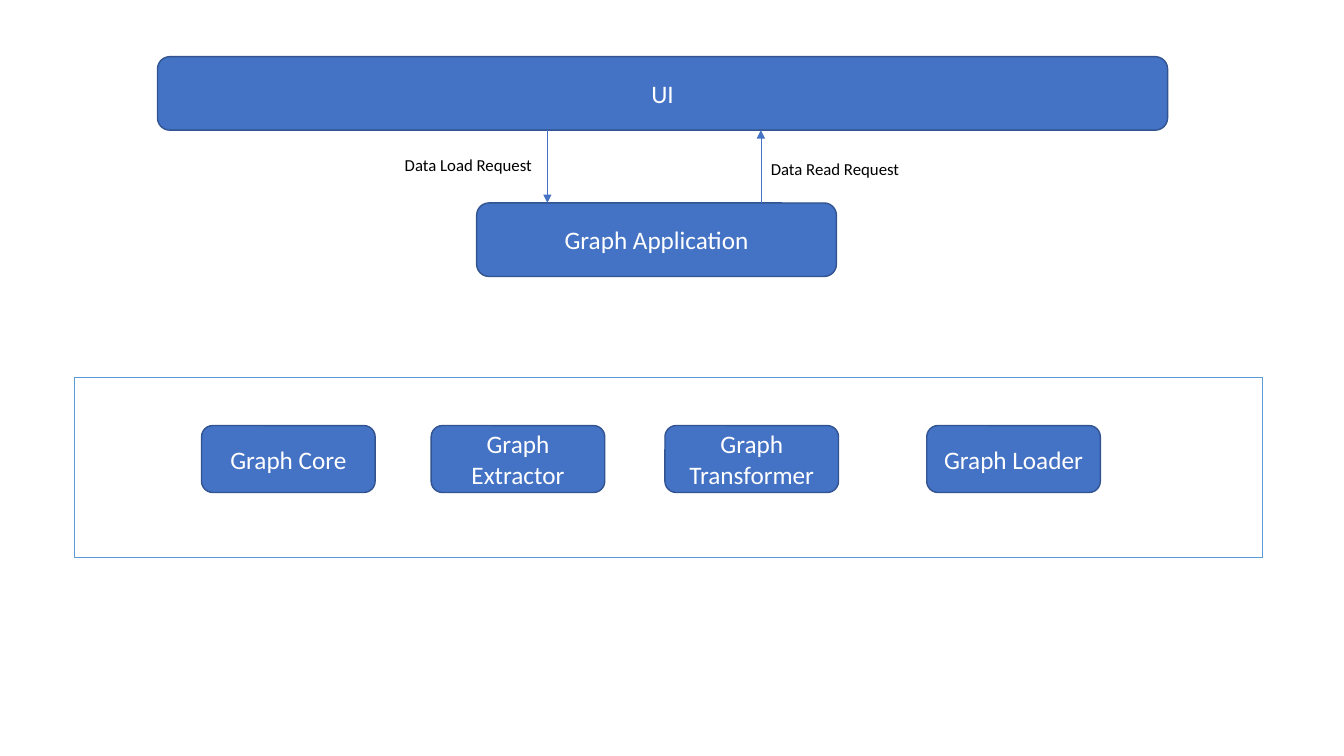
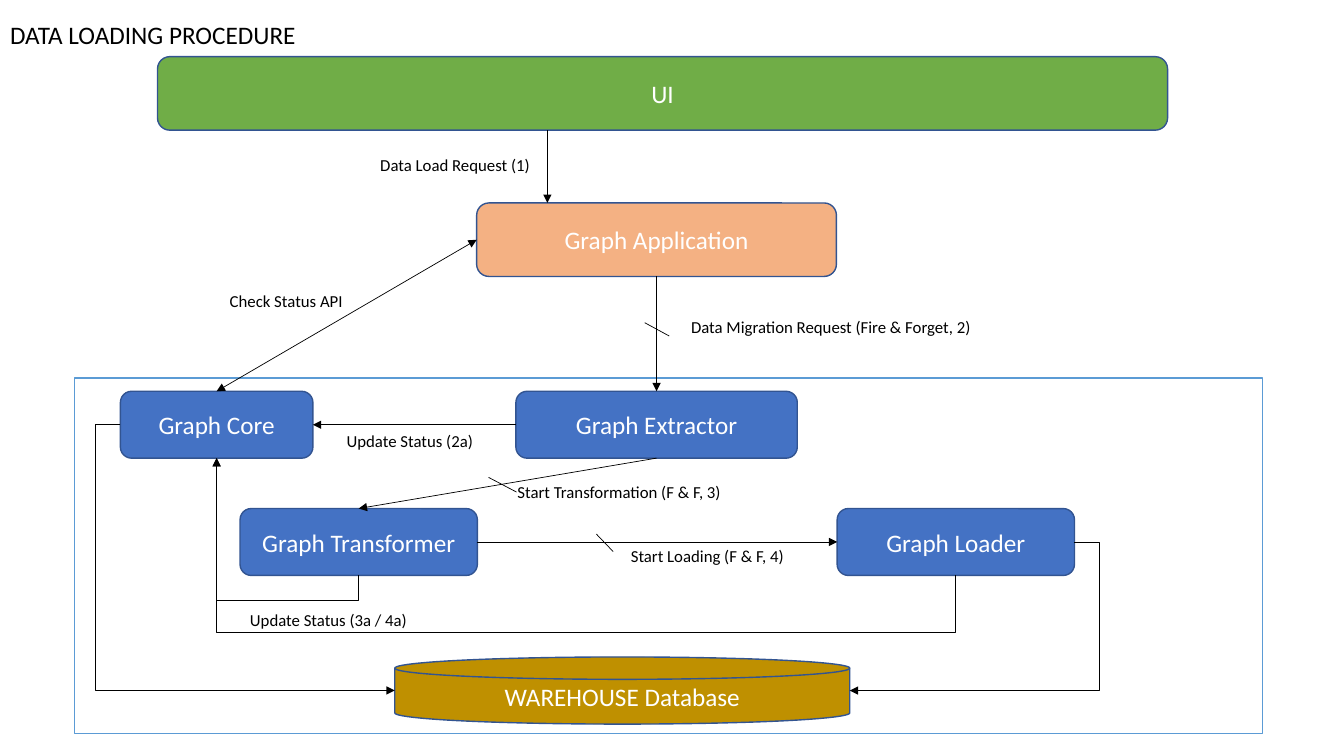
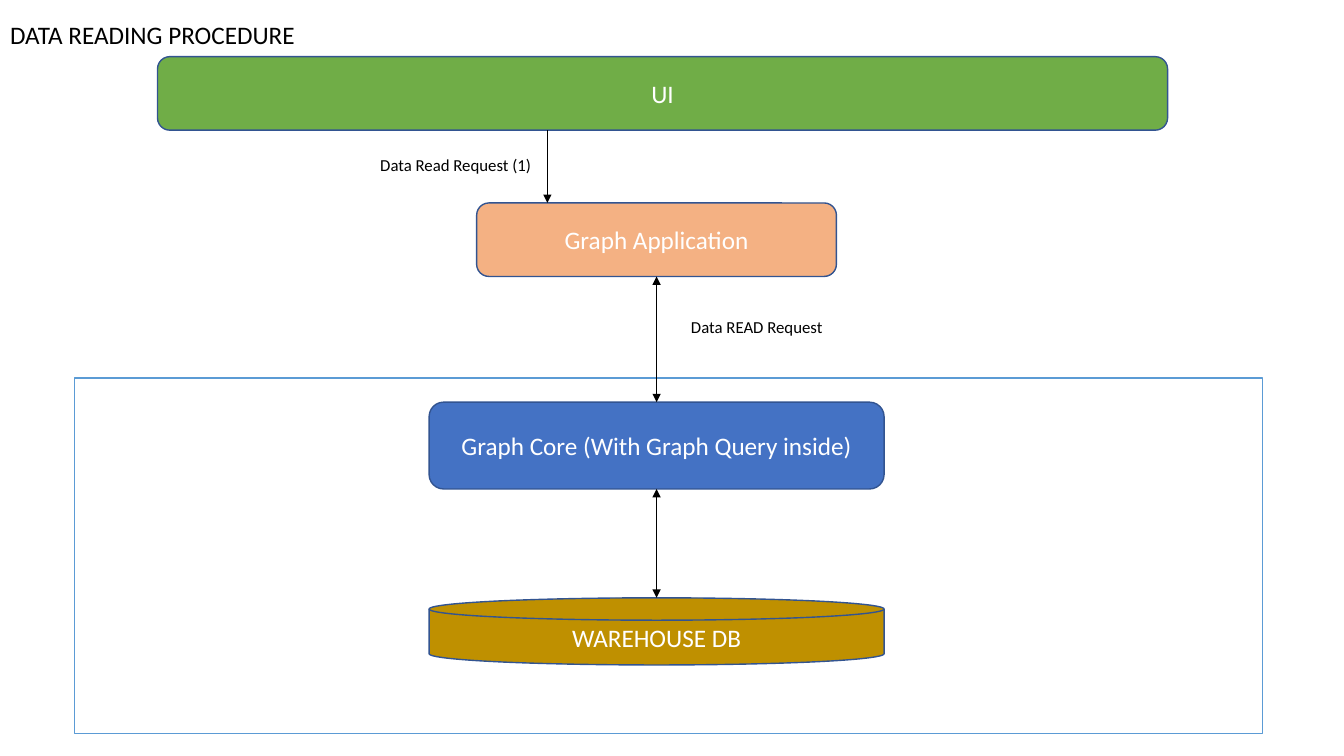
from lxml import etree
from pptx import Presentation
from pptx.enum import shapes, text
from pptx.dml.color import RGBColor
from pptx.oxml.ns import qn
from pptx.util import Pt

FONT = "Calibri"
HEX = {
    "blue": "4472C4", "green": "70AD47", "peach": "F4B183", "gold": "BF9000",
    "edge": "325491", "frame": "5B9BD5", "black": "000000", "white": "FFFFFF",
}
HEAD = (112.5, 40.5, 721.5, 157)
SHORT = (53, 270, 849, 128)
TALL = (53, 270, 849, 254)
ROUND = shapes.MSO_SHAPE.ROUNDED_RECTANGLE
DISK = shapes.MSO_SHAPE.FLOWCHART_MAGNETIC_DISK
KIND = shapes.MSO_CONNECTOR
TOP, LEFT, BOTTOM, RIGHT = range(4)


def rgb(name):
    return RGBColor.from_string(HEX[name])


def style(frame, size, color, align):
    for par in frame.paragraphs:
        par.alignment = align
        for run in par.runs:
            run.font.name = FONT
            run.font.size = Pt(size)
            run.font.color.rgb = rgb(color)


def node(slide, box, words, fill="blue", form=ROUND):
    item = slide.shapes.add_shape(form, *map(Pt, box))
    item.shadow.inherit = False
    item.fill.solid()
    item.fill.fore_color.rgb = rgb(fill)
    item.line.color.rgb = rgb("edge")
    item.line.width = Pt(1)
    frame = item.text_frame
    frame.text = words
    frame.vertical_anchor = text.MSO_ANCHOR.MIDDLE
    style(frame, 18, "white", text.PP_ALIGN.CENTER)
    return item


def outline(slide, box):
    item = slide.shapes.add_shape(shapes.MSO_SHAPE.RECTANGLE, *map(Pt, box))
    item.shadow.inherit = False
    item.fill.background()
    item.line.color.rgb = rgb("frame")
    item.line.width = Pt(0.75)


def label(slide, x, y, wide, words):
    frame = slide.shapes.add_textbox(Pt(x), Pt(y), Pt(wide), Pt(21.75)).text_frame
    frame.word_wrap = True
    frame.auto_size = text.MSO_AUTO_SIZE.SHAPE_TO_FIT_TEXT
    frame.text = words
    style(frame, 12, "black", text.PP_ALIGN.LEFT)


def title(slide, words):
    item = slide.shapes.title
    item.left, item.top, item.width, item.height = map(Pt, (0, 10, 294.5, 29))
    frame = item.text_frame
    frame.text = words
    frame.word_wrap = True
    frame.auto_size = text.MSO_AUTO_SIZE.NONE
    frame.vertical_anchor = text.MSO_ANCHOR.TOP
    style(frame, 18, "black", text.PP_ALIGN.LEFT)


def spot(item, side):
    """Middle of one side of a shape, in points."""
    across, down = ((0.5, 0), (0, 0.5), (0.5, 1), (1, 0.5))[side]
    return (item.left.pt + across * item.width.pt,
            item.top.pt + down * item.height.pt)


def wire(slide, start, end, color="black", tips=("tailEnd",), kind=KIND.STRAIGHT):
    line = slide.shapes.add_connector(kind, *map(Pt, (*start, *end)))
    line.line.color.rgb = rgb(color)
    line.line.width = Pt(0.5)
    for tip in tips:
        etree.SubElement(line.line._get_or_add_ln(), qn("a:" + tip), type="triangle")
    etree.SubElement(line._element.spPr, qn("a:effectLst"))
    return line


def join(slide, a, out, b, into, both=False):
    """Straight arrow glued to the sides of two boxes."""
    tips = ("headEnd", "tailEnd") if both else ("tailEnd",)
    line = wire(slide, spot(a, out), spot(b, into), tips=tips)
    line.begin_connect(a, out)
    line.end_connect(b, into)


def bend(slide, start, end, reach, upright=False):
    """Elbow arrow that first runs `reach` points past its start."""
    (x1, y1), (x2, y2) = start, end
    span = abs(x2 - x1)
    if upright:
        span, rise = abs(y2 - y1), abs(x2 - x1)
        mid, level = (x1 + x2) / 2, (y1 + y2) / 2
        start = mid + span / 2, level - rise / 2
        end = mid - span / 2, level + rise / 2
    line = wire(slide, start, end, kind=KIND.ELBOW)
    props = line._element.spPr
    if upright:
        props.find(qn("a:xfrm")).set("rot", "5400000")
    guides = props.find(qn("a:prstGeom")).get_or_add_avLst()
    etree.SubElement(guides, qn("a:gd"), name="adj1",
                     fmla=f"val {round(-reach / span * 100000)}")


def header(slide, box, words, wide, fills=("green", "peach"), ink="black"):
    """UI bar, application box and the request between them."""
    x, y, w, h = box
    tall = 52.5
    node(slide, (x, y, w, tall), "UI", fills[0])
    app = node(slide, (x + 228, y + h - tall, 257, tall), "Graph Application", fills[1])
    drop = x + 278.5
    wire(slide, (drop, y + tall), (drop, y + h - tall), ink)
    label(slide, drop - wide, y + 66.75, wide, words)
    return app


def modules(slide, box):
    x, y, _, _ = box
    outline(slide, box)
    for dx, name in ((91, "Core"), (255, "Extractor"), (422, "Transformer"), (609, "Loader")):
        node(slide, (x + dx, y + 34, 124, 47.75), "Graph " + name)


def loading(slide, box, app):
    x, y, _, _ = box
    outline(slide, box)
    core, puller, shaper, loader = (
        node(slide, (x + dx, y + dy, wide, 47.75), "Graph " + name)
        for dx, dy, wide, name in (
            (33, 9.5, 137.5, "Core"), (315.5, 9.5, 201, "Extractor"),
            (118.5, 93.25, 169.5, "Transformer"), (545, 93.25, 169.5, "Loader")))
    store = node(slide, (x + 229, y + 199.25, 325, 48), "WAREHOUSE Database", "gold", DISK)

    join(slide, app, BOTTOM, puller, TOP)
    join(slide, puller, BOTTOM, shaper, TOP)
    join(slide, shaper, RIGHT, loader, LEFT)
    join(slide, puller, LEFT, core, RIGHT)
    join(slide, core, TOP, app, LEFT, both=True)
    for item, reach in ((shaper, 18), (loader, 40.5)):
        bend(slide, spot(item, BOTTOM), spot(core, BOTTOM), reach, upright=True)
    bend(slide, spot(loader, RIGHT), spot(store, RIGHT), 18)
    bend(slide, spot(core, LEFT), spot(store, LEFT), 18)

    for dx, dy, across, down in ((407.5, -39.5, 17.5, 9.5), (296, 71, 20, 10.5),
                                 (373, 111.5, 12, 12.5)):
        wire(slide, (x + dx, y + dy), (x + dx + across, y + dy + down), tips=())
    for dx, dy, wide, words in (
            (433.5, -47.5, 219.5, "Data Migration Request (Fire & Forget, 2)"),
            (309.5, 70.75, 173.5, "Start Transformation (F & F, 3)"),
            (390.5, 116, 156, "Start Loading (F & F, 4)"),
            (118.5, 162.25, 130, "Update Status (3a / 4a)"),
            (104, -66.25, 97, "Check Status API"),
            (187.5, 34, 109, "Update Status (2a)")):
        label(slide, x + dx, y + dy, wide, words)


def reading(slide, box, app):
    x, y, _, _ = box
    outline(slide, box)
    core = node(slide, (x + 253.5, y + 17.25, 325, 62), "Graph Core (With Graph Query inside)")
    store = node(slide, (x + 253.5, y + 157, 325, 48), "WAREHOUSE DB", "gold", DISK)
    join(slide, app, BOTTOM, core, TOP, both=True)
    line = wire(slide, spot(core, BOTTOM), spot(store, TOP), tips=("headEnd", "tailEnd"))
    line.begin_connect(core, BOTTOM)
    label(slide, x + 433.5, y - 47.5, 111, "Data READ Request")


def overview(slide):
    header(slide, HEAD, "Data Load Request", 109, ("blue", "blue"), "blue")
    x, y, _, h = HEAD
    rise = x + 431
    wire(slide, (rise, y + h - 52.5), (rise, y + 52.5), "blue")
    label(slide, rise, y + 69.5, 109, "Data Read Request")
    modules(slide, SHORT)


def main():
    deck = Presentation()
    deck.slide_width, deck.slide_height = Pt(960), Pt(540)
    bare, titled = deck.slide_layouts[6], deck.slide_layouts[5]
    overview(deck.slides.add_slide(bare))
    for name, words, body in (("LOADING", "Load", loading), ("READING", "Read", reading)):
        slide = deck.slides.add_slide(titled)
        title(slide, f"DATA {name} PROCEDURE")
        app = header(slide, HEAD, f"Data {words} Request (1)", 126.5)
        body(slide, TALL, app)
    deck.save("out.pptx")


if __name__ == "__main__":
    main()
